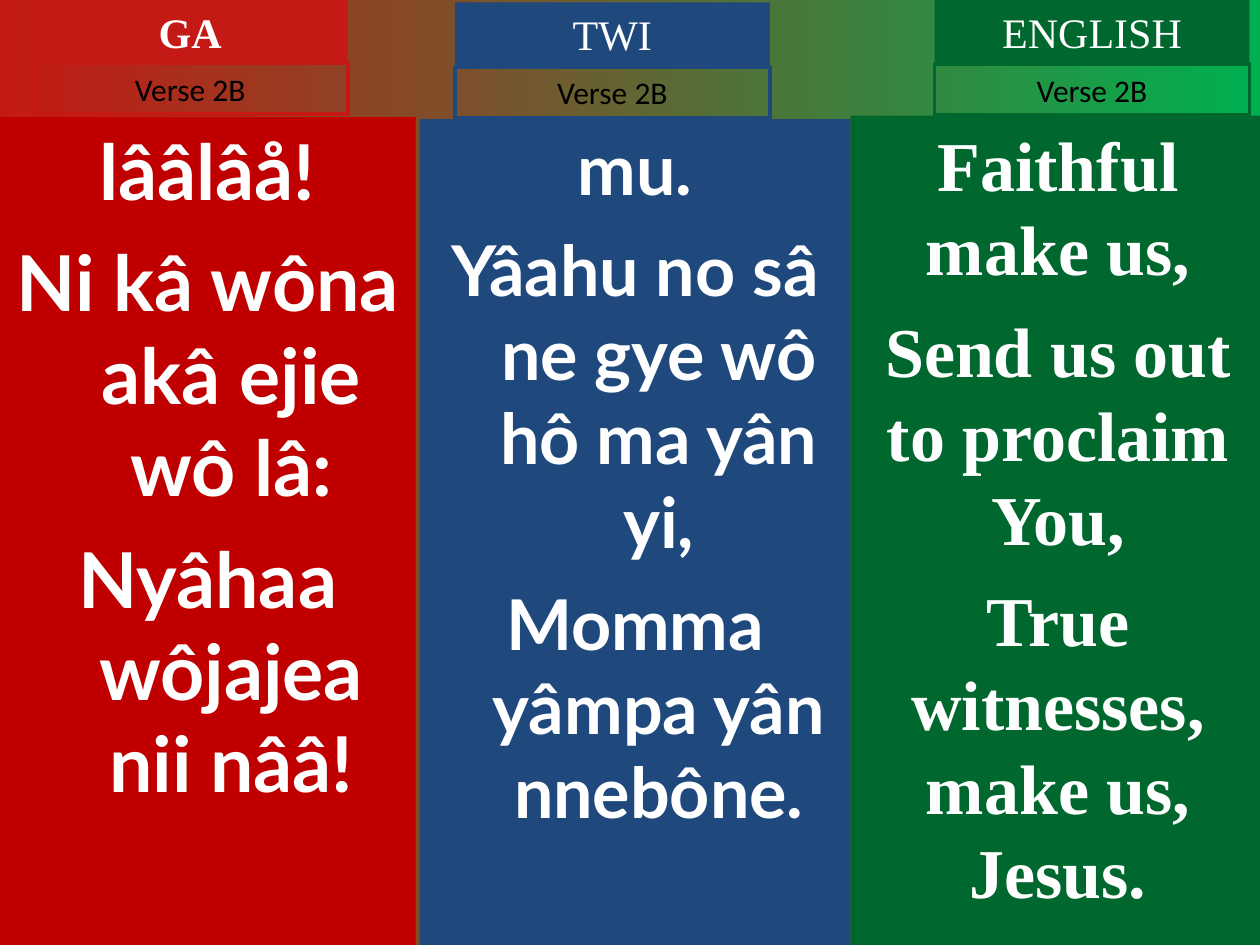
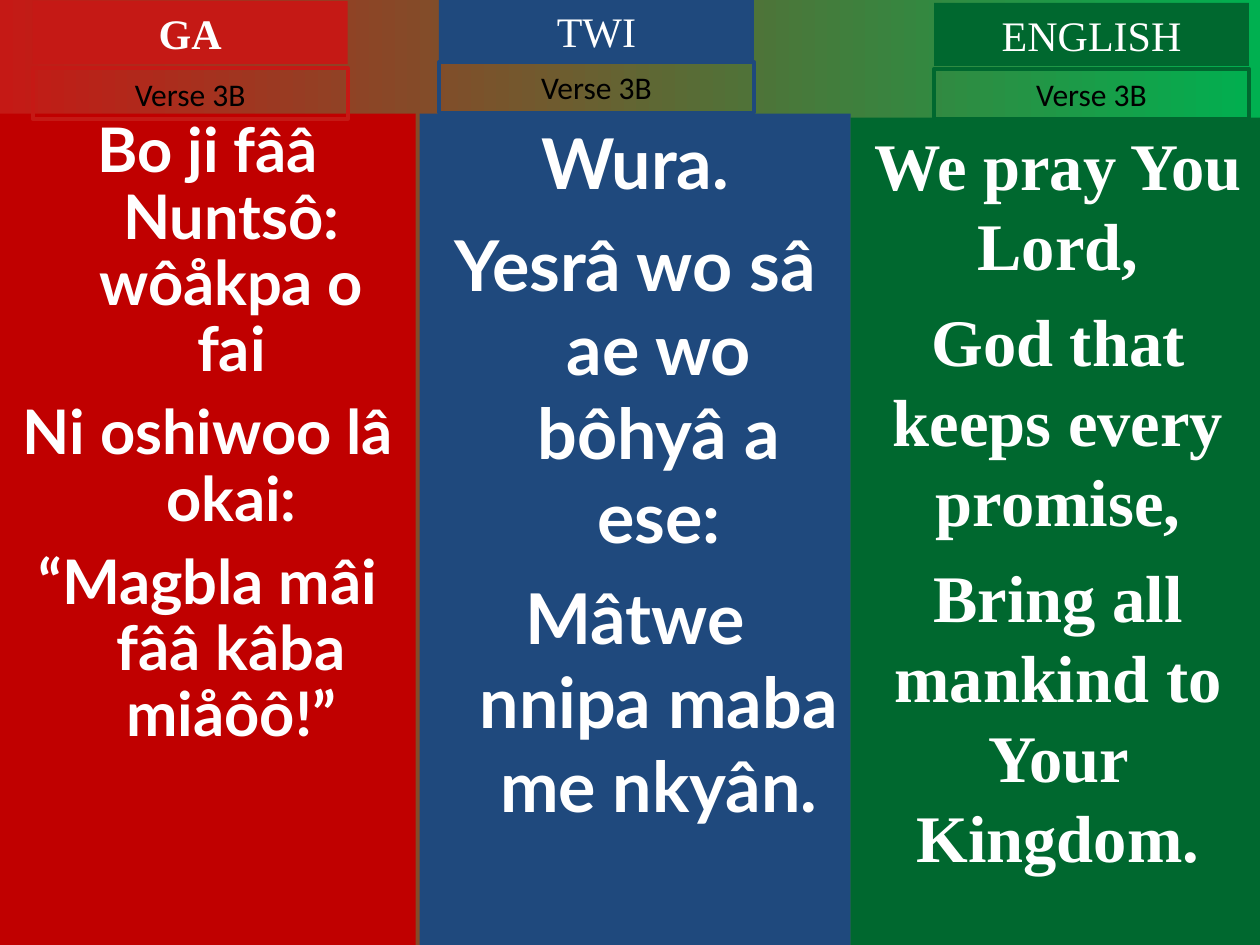
from pptx import Presentation
from pptx.dml.color import RGBColor
from pptx.enum.shapes import MSO_SHAPE as Shape
from pptx.enum.text import MSO_ANCHOR as Anchor, PP_ALIGN as Align
from pptx.util import Cm, Pt

COLORS = {
    "ga_panel": "C00000", "ga": "C51915",
    "twi_panel": "1F497D", "twi": "1F497D",
    "english_panel": "00682F", "english": "00682F",
    "gradient_start": "C51915", "gradient_end": "00B050",
    "white": "FFFFFF", "black": "000000",
}
PANEL_SPANS = {"ga": (0, 8.38), "twi": (8.46, 8.69), "english": (17.15, 8.36)}
HANGING_LANGUAGES = ("ga", "twi")
HANGING_INDENT = Cm(0.95)
TAB_WIDTH, HEADING_HEIGHT, LABEL_HEIGHT = 6.35, 1.27, 1.02
SLIDE_HEIGHT = 19.05

HEADING_FORMAT = {"name": "Times New Roman", "size": Pt(24)}
LABEL_FORMAT = {"name": "Calibri", "size": Pt(18)}

# Tops are given for the panel, heading and label of each column.
VERSES = [
    {"label": "Verse 2B", "columns": [
        {"language": "ga", "tab_left": 0.66, "tops": (2.36, 0, 1.28), "size": 44, "gap": 11,
         "lines": ["lââlâå!", "Ni kâ wôna akâ ejie wô lâ:", "Nyâhaa wôjajea nii nââ!"]},
        {"language": "twi", "tab_left": 9.17, "tops": (2.4, 0.05, 1.35), "size": 40, "gap": 10,
         "lines": ["mu.", "Yâahu no sâ ne gye wô hô ma yân yi,",
                   "Momma yâmpa yân nnebône."]},
        {"language": "english", "tab_left": 18.84, "tops": (2.33, 0, 1.3), "size": 40, "gap": 10,
         "lines": ["Faithful make us,", "Send us out to proclaim You,",
                   "True witnesses, make us, Jesus."]},
    ]},
    {"label": "Verse 3B", "columns": [
        {"language": "ga", "tab_left": 0.66, "tops": (2.29, 0.02, 1.38), "size": 35.1, "gap": 9.5,
         "spacing": 0.9,
         "lines": ["Bo ji fââ Nuntsô: wôåkpa o fai", "Ni oshiwoo lâ okai:",
                   "“Magbla mâi fââ kâba miåôô!”"]},
        {"language": "twi", "tab_left": 8.85, "tops": (2.29, -0.02, 1.25), "size": 40, "gap": 10,
         "lines": ["Wura.", "Yesrâ wo sâ ae wo bôhyâ a ese:",
                   "Mâtwe nnipa maba me nkyân."]},
        {"language": "english", "tab_left": 18.83, "tops": (2.37, 0.06, 1.39), "size": 38, "gap": 9.5,
         "lines": ["We pray You Lord,", "God that keeps every promise,",
                   "Bring all mankind to Your Kingdom."]},
    ]},
]


def color(name):
    return RGBColor.from_string(COLORS[name])


def add_box(slide, box, lines, font_format, text_color, fill=None, line=None):
    """Add a rectangle with top-anchored, centred paragraphs; box is in centimetres."""
    shape = slide.shapes.add_shape(Shape.RECTANGLE, *[Cm(length) for length in box])
    shape.shadow.inherit = False
    if fill:
        shape.fill.solid()
        shape.fill.fore_color.rgb = color(fill)
    else:
        shape.fill.background()
    if line:
        shape.line.color.rgb = color(line)
        shape.line.width = Pt(2.25)
    else:
        shape.line.fill.background()
    frame = shape.text_frame
    frame.word_wrap = True
    frame.vertical_anchor = Anchor.TOP
    for index, text in enumerate(lines):
        paragraph = frame.add_paragraph() if index else frame.paragraphs[0]
        paragraph.alignment = Align.CENTER
        run = paragraph.add_run()
        run.text = text
        for attribute, value in font_format.items():
            setattr(run.font, attribute, value)
        run.font.color.rgb = color(text_color)
    return shape


presentation = Presentation()
presentation.slide_width = Cm(25.4)
presentation.slide_height = Cm(SLIDE_HEIGHT)
blank_layout = presentation.slide_layouts[6]

for verse in VERSES:
    slide = presentation.slides.add_slide(blank_layout)
    background = slide.background.fill
    background.gradient()
    background.gradient_angle = 0
    for stop, name in zip(background.gradient_stops, ("gradient_start", "gradient_end")):
        stop.color.rgb = color(name)

    for column in verse["columns"]:
        language = column["language"]
        panel_top, heading_top, label_top = column["tops"]
        panel_left, panel_width = PANEL_SPANS[language]
        hanging = language in HANGING_LANGUAGES

        lyric_format = {"name": "Lato" if hanging else "Times New Roman",
                        "size": Pt(column["size"]), "bold": True}
        panel = add_box(slide, (panel_left, panel_top, panel_width, SLIDE_HEIGHT - panel_top),
                        column["lines"], lyric_format, "white", fill=f"{language}_panel")
        for index, paragraph in enumerate(panel.text_frame.paragraphs):
            if index:
                paragraph.space_before = Pt(column["gap"])
            paragraph.line_spacing = column.get("spacing", 1.0)
            if hanging:
                properties = paragraph._p.get_or_add_pPr()
                properties.set("marL", str(HANGING_INDENT))
                properties.set("indent", str(-HANGING_INDENT))

        add_box(slide, (column["tab_left"], heading_top, TAB_WIDTH, HEADING_HEIGHT),
                [language.upper()], {**HEADING_FORMAT, "bold": language == "ga"},
                "white", fill=language)
        add_box(slide, (column["tab_left"], label_top, TAB_WIDTH, LABEL_HEIGHT),
                [verse["label"]], LABEL_FORMAT, "black", line=language)

presentation.save("out.pptx")
